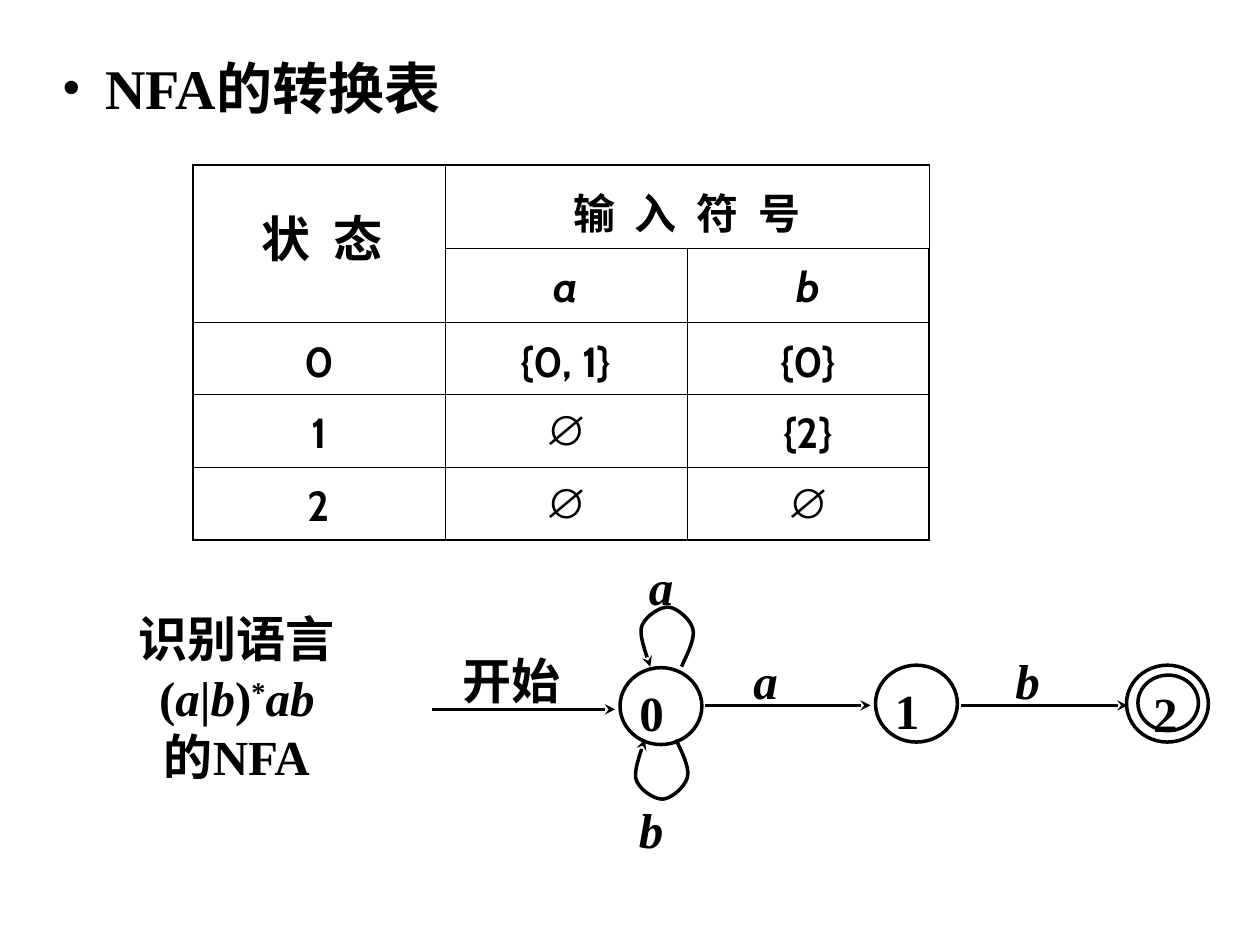
"""Builds the slide with the transition table and diagram of an NFA."""
from lxml import etree
from pptx import Presentation
from pptx import util as u
from pptx.dml import color
from pptx.enum import shapes, text
from pptx.oxml import ns

Cm, Pt = u.Cm, u.Pt
ROMAN, SANS = "Times New Roman", "Noto Sans CJK SC"
LEFT, MID = text.PP_ALIGN.LEFT, text.PP_ALIGN.CENTER
TOP, CORE = text.MSO_ANCHOR.TOP, text.MSO_ANCHOR.MIDDLE
BLACK = "000000"


def tint(code):
    return color.RGBColor.from_string(code)


def write(para, words, size=28, face=ROMAN, bold=True, slant=False,
          hue=BLACK, gap=0, lift=0, align=LEFT):
    para.alignment = align
    run = para.add_run()
    run.text = words
    font = run.font
    font.size, font.name, font.bold, font.italic = Pt(size), face, bold, slant
    font.color.rgb = tint(hue)
    props = run._r.get_or_add_rPr()
    if any("一" <= sign <= "鿿" for sign in words):
        etree.SubElement(props, ns.qn("a:ea"), typeface=SANS)
    if gap:
        props.set("spc", str(int(gap * 100)))
    if lift:
        props.set("baseline", str(lift * 1000))


deck = Presentation()
deck.slide_width, deck.slide_height = Cm(25.4), Cm(19.05)
slide = deck.slides.add_slide(deck.slide_layouts[5])
pool = slide.shapes

head = pool.title
head.left, head.top, head.width, head.height = Cm(1.09), Cm(0.91), Cm(24), Cm(1.7)
frame = head.text_frame
frame.auto_size = text.MSO_AUTO_SIZE.NONE
frame.vertical_anchor = CORE
frame.margin_left = frame.margin_right = Cm(0.15)
frame.margin_top = frame.margin_bottom = Cm(0.08)
para = frame.paragraphs[0]
props = para._p.get_or_add_pPr()
props.set("marL", str(Cm(0.88)))
props.set("indent", str(-Cm(0.88)))
etree.SubElement(props, ns.qn("a:buFont"), typeface=ROMAN)
etree.SubElement(props, ns.qn("a:buChar"), char="•")
write(para, "NFA的转换表", size=32)

rows = [["", "输 入 符 号", ""],
        ["", "a", "b"],
        ["0", "{0, 1}", "{0}"],
        ["1", "∅", "{2}"],
        ["2", "∅", "∅"]]
wide, tall = [5.08, 4.88, 4.88], [1.63, 1.5, 1.42, 1.47, 1.47]
table = pool.add_table(5, 3, Cm(3.89), Cm(3.33), Cm(sum(wide)), Cm(sum(tall))).table
table.first_row = table.horz_banding = False
for col, size in zip(table.columns, wide):
    col.width = Cm(size)
for row, size in zip(table.rows, tall):
    row.height = Cm(size)
table.cell(0, 0).merge(table.cell(1, 0))
table.cell(0, 1).merge(table.cell(0, 2))
for r, line in enumerate(rows):
    for c, words in enumerate(line):
        cell = table.cell(r, c)
        props = cell._tc.get_or_add_tcPr()
        edges = {"L": c == 0, "R": c == 2, "T": r == 0, "B": r == 4}
        for side, outer in edges.items():
            edge = etree.SubElement(props, ns.qn("a:ln" + side),
                                    w=str(Pt(1.08 if outer else 0.45)))
            fill = etree.SubElement(edge, ns.qn("a:solidFill"))
            etree.SubElement(fill, ns.qn("a:srgbClr"), val=BLACK)
        cell.fill.background()
        cell.margin_left = cell.margin_right = Cm(0.15)
        cell.margin_top = cell.margin_bottom = Cm(0.13)
        if words:
            para = cell.text_frame.paragraphs[0]
            para.line_spacing = 1.15
            write(para, words, size=24, face="Arial" if words == "∅" else "Cabin",
                  slant=r == 1, gap=3 if r == 0 else 0, align=MID)

nodes = [("0", 12.5, 13.46, 1.65, 1.55),
         ("1", 17.65, 13.41, 1.65, 1.55),
         ("", 22.71, 13.41, 1.65, 1.55),
         ("2", 22.94, 13.61, 1.22, 1.12)]
for words, x, y, w, h in nodes:
    node = pool.add_shape(shapes.MSO_SHAPE.OVAL, Cm(x), Cm(y), Cm(w), Cm(h))
    node.shadow.inherit = False
    node.fill.background()
    node.line.color.rgb = tint(BLACK)
    node.line.width = Pt(2)
    frame = node.text_frame
    frame.vertical_anchor = TOP
    small = w < 1.5
    frame.margin_left, frame.margin_right = Cm(0.13 if small else 0.15), Cm(0.04)
    frame.margin_top = Cm(0 if small else 0.08)
    frame.margin_bottom = Cm(0 if small else 0.13)
    if words:
        write(frame.paragraphs[0], words)

links = []
for start, end, y in [(8.71, 12.4, 14.3), (14.22, 17.55, 14.22), (19.38, 22.73, 14.22)]:
    link = pool.add_connector(shapes.MSO_CONNECTOR.STRAIGHT,
                              Cm(start), Cm(y), Cm(end), Cm(y))
    etree.SubElement(link._element.spPr, ns.qn("a:effectLst"))
    links.append(link)

curve = [(13.74, 13.44), (13.79, 13.31), (14.02, 12.9), (13.97, 12.7),
         (13.94, 12.5), (13.64, 12.24), (13.46, 12.24),
         (13.28, 12.24), (12.98, 12.45), (12.93, 12.65),
         (12.88, 12.83), (13.06, 13.28), (13.11, 13.44)]
under = [(x - 0.11, 14.91 + 13.44 - y) for x, y in curve]
for knots in (curve, under):
    spots = []
    for k in range(0, 12, 3):
        for step in range(1, 13):
            t = step / 12
            mix = [(1 - t) ** 3, 3 * t * (1 - t) ** 2, 3 * t * t * (1 - t), t ** 3]
            spots.append([Cm(sum(m * p[axis] for m, p in zip(mix, knots[k:k + 4])))
                          for axis in (0, 1)])
    pen = pool.build_freeform(Cm(knots[0][0]), Cm(knots[0][1]))
    pen.add_line_segments(spots, close=False)
    loop = pen.convert_to_shape()
    loop.shadow.inherit = False
    loop.fill.background()
    links.append(loop)

for link in links:
    link.line.color.rgb = tint(BLACK)
    link.line.width = Pt(2)
    etree.SubElement(link.line._get_or_add_ln(), ns.qn("a:tailEnd"), type="stealth")

it = {"slant": True}
rule = [("(", {}), ("a", it), ("|", {}), ("b", it), (")", {}), ("*", {"lift": 30}),
        ("ab", it)]
notes = [(9.17, 13.03, 2.69, 1.45, LEFT, TOP, [[("开始", {})]]),
         (15.04, 13.03, 1.35, 1.24, LEFT, TOP, [[("a", it)]]),
         (20.32, 13.03, 1.35, 1.24, LEFT, TOP, [[("b", it)]]),
         (12.93, 11.13, 1.35, 1.24, LEFT, TOP, [[("a", it)]]),
         (12.73, 16.03, 1.35, 1.24, LEFT, TOP, [[("b", it)]]),
         (4.9, 3.94, 3.18, 1.7, MID, CORE, [[("状 态", {"gap": 3.5})]]),
         (1.5, 11.73, 6.55, 4.65, MID, CORE,
          [[("识别语言", {"face": SANS})], rule, [("的", {"face": SANS}), ("NFA", {})]])]
for x, y, w, h, align, anchor, lines in notes:
    frame = pool.add_textbox(Cm(x), Cm(y), Cm(w), Cm(h)).text_frame
    frame.word_wrap = True
    frame.vertical_anchor = anchor
    frame.margin_left = frame.margin_right = Cm(0.15)
    frame.margin_top = frame.margin_bottom = Cm(0.08)
    for n, line in enumerate(lines):
        para = frame.add_paragraph() if n else frame.paragraphs[0]
        for words, look in line:
            write(para, words, align=align, **look)

deck.save("out.pptx")
